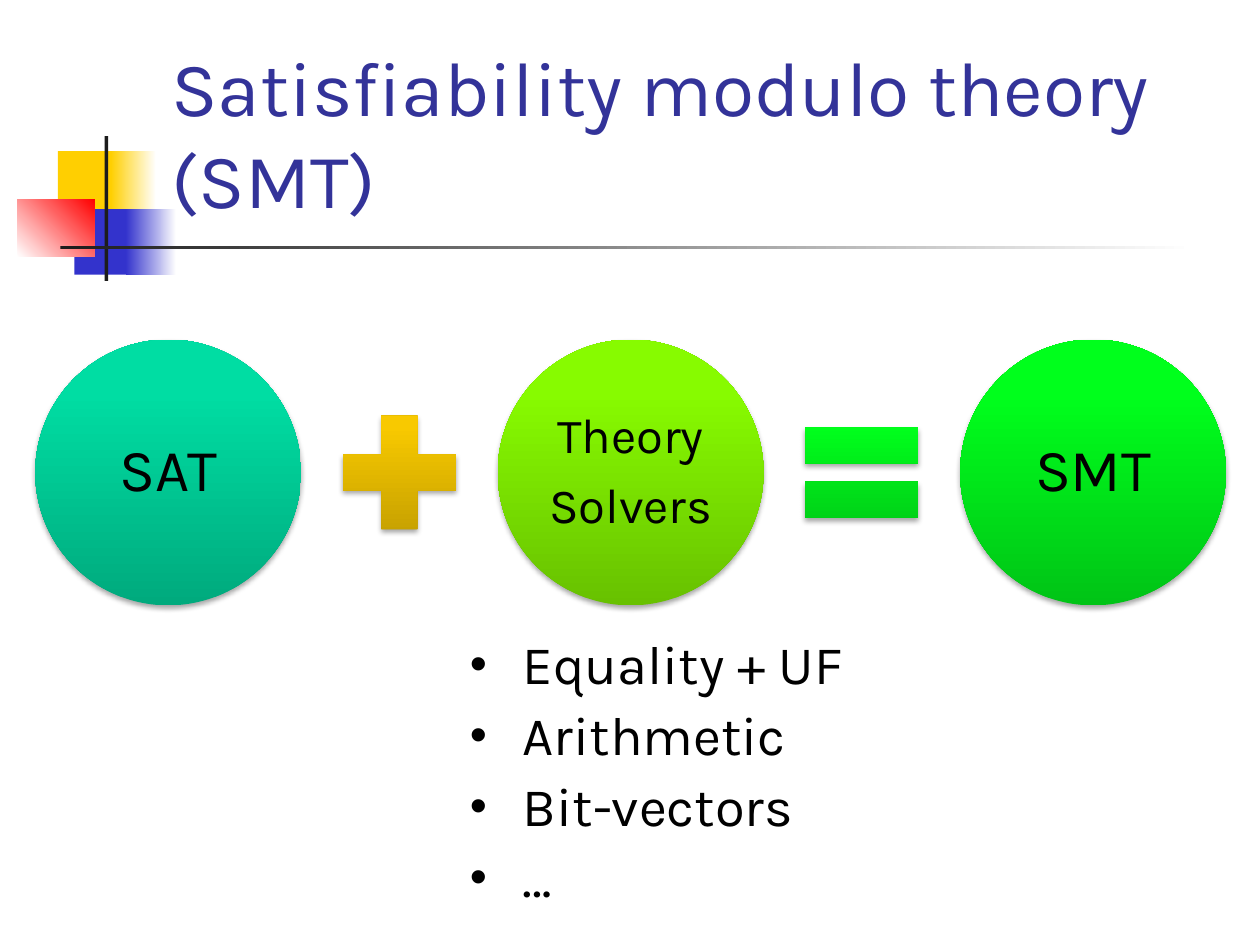
"""Build the slide that sums SAT and theory solvers into SMT."""
from pptx import Presentation
from pptx.dml.color import RGBColor as RGB
from pptx.enum.shapes import MSO_SHAPE as SHAPE
from pptx.enum.text import MSO_ANCHOR as ANCHOR, MSO_AUTO_SIZE as FIT, PP_ALIGN as ALIGN
from pptx.oxml import parse_xml
from pptx.oxml.ns import nsdecls, qn
from pptx.util import Inches, Pt

HUE = {
    "ink": "000000", "title": "333399", "dark": "1C1C1C", "white": "FFFFFF",
    "gold": "FFCF01", "blue": "3333CC", "red": "FF0000",
}
GLOSS = {
    "teal": ("00AA7D", "00DDA3", "00DEA4"),
    "amber": ("BF9B00", "F8C900", "F9CA00"),
    "lime": ("68C100", "87FB00", "88FC00"),
    "green": ("00C416", "00FF1C", "01FF1D"),
}


def write(frame, text, size, hue="ink", align=ALIGN.LEFT, anchor=ANCHOR.TOP,
          inset=None, line=None, before=None, after=None, bullet=None, indent=0.42):
    frame.word_wrap = True
    frame.auto_size = FIT.NONE
    frame.vertical_anchor = anchor
    if inset is not None:
        frame.margin_left = frame.margin_right = Inches(inset)
        frame.margin_top = frame.margin_bottom = Inches(inset)
    frame.text = text
    for para in frame.paragraphs:
        para.alignment = align
        para.line_spacing = line
        para.space_before = before
        para.space_after = after
        font = para.runs[0].font
        font.name, font.size = "Karla", Pt(size)
        font.color.rgb = RGB.from_string(HUE[hue])
        if bullet:
            props = para._p.get_or_add_pPr()
            props.set("marL", str(Inches(indent)))
            props.set("indent", str(-Inches(indent)))
            for tag in ('buSzPct val="90000"', 'buFont typeface="Arial"', f'buChar char="{bullet}"'):
                props.append(parse_xml(f"<a:{tag} {nsdecls('a')}/>"))


def draw(kind, left, top, wide, high, stops, angle=0, shade=False):
    shape = slide.shapes.add_shape(kind, *map(Inches, (left, top, wide, high)))
    shape.line.fill.background()
    shape.shadow.inherit = False
    props = shape._element.spPr
    if len(stops) == 1:
        shape.fill.solid()
        shape.fill.fore_color.rgb = RGB.from_string(stops[0])
    else:
        shape.fill.gradient()
        shape.fill.gradient_angle = angle
        ramp = props.find(".//" + qn("a:gsLst"))
        for old in list(ramp):
            ramp.remove(old)
        for spot, color in zip((0, 80, 100) if len(stops) == 3 else (0, 100), stops):
            ramp.append(parse_xml(
                f'<a:gs {nsdecls("a")} pos="{spot * 1000}"><a:srgbClr val="{color}"/></a:gs>'))
    if shade:
        props.find(qn("a:effectLst")).append(parse_xml(
            f'<a:outerShdw {nsdecls("a")} blurRad="{Pt(3.1)}" dist="{Pt(1.8)}" dir="5400000"'
            ' rotWithShape="0"><a:srgbClr val="000000"><a:alpha val="35000"/></a:srgbClr>'
            '</a:outerShdw>'))
    return shape


deck = Presentation()
deck.slide_width, deck.slide_height = Inches(10), Inches(7.5)
slide = deck.slides.add_slide(deck.slide_layouts[5])

for left, top, wide, high, names, angle in (
    (0.46, 1.2, 0.48, 0.52, ["gold"], 0),
    (0.88, 1.2, 0.36, 0.52, ["gold", "white"], 0),
    (0.59, 1.66, 0.46, 0.52, ["blue"], 0),
    (1, 1.66, 0.4, 0.52, ["blue", "white"], 0),
    (0.14, 1.58, 0.61, 0.46, ["white", "red"], 45),
    (0.83, 1.08, 0.03, 1.15, ["dark"], 0),
    (0.48, 1.95, 9, 0.03, ["dark", "white"], 0),
):
    draw(SHAPE.RECTANGLE, left, top, wide, high, [HUE[name] for name in names], angle)

title = slide.shapes.title
title.left, title.top, title.width, title.height = map(Inches, (1.26, 0.23, 8.52, 1.6))
write(title.text_frame, "Satisfiability modulo theory (SMT)", 44, hue="title", anchor=ANCHOR.BOTTOM)

step, disc, sign, mid = 3.67, 2.11, 1.22, 3.75
for col, (text, size, gloss) in enumerate((
    ("SAT", 34, "teal"), ("Theory\nSolvers", 28, "lime"), ("SMT", 34, "green"),
)):
    ball = draw(SHAPE.OVAL, 0.28 + col * step, mid - disc / 2, disc, disc,
                GLOSS[gloss], angle=90, shade=True)
    write(ball.text_frame, text, size, align=ALIGN.CENTER, anchor=ANCHOR.MIDDLE,
          inset=0.05, line=0.9, after=Pt(size * 0.35))

for col, (kind, gloss) in enumerate(((SHAPE.MATH_PLUS, "amber"), (SHAPE.MATH_EQUAL, "green"))):
    draw(kind, 2.56 + col * step, mid - sign / 2, sign, sign, GLOSS[gloss], angle=90, shade=True)

box = slide.shapes.add_textbox(*map(Inches, (3.73, 5.06, 3.27, 2.19)))
write(box.text_frame, "Equality + UF\nArithmetic\nBit-vectors\n…", 31,
      inset=0, line=0.9, before=Pt(7), bullet="•")

deck.save("out.pptx")
